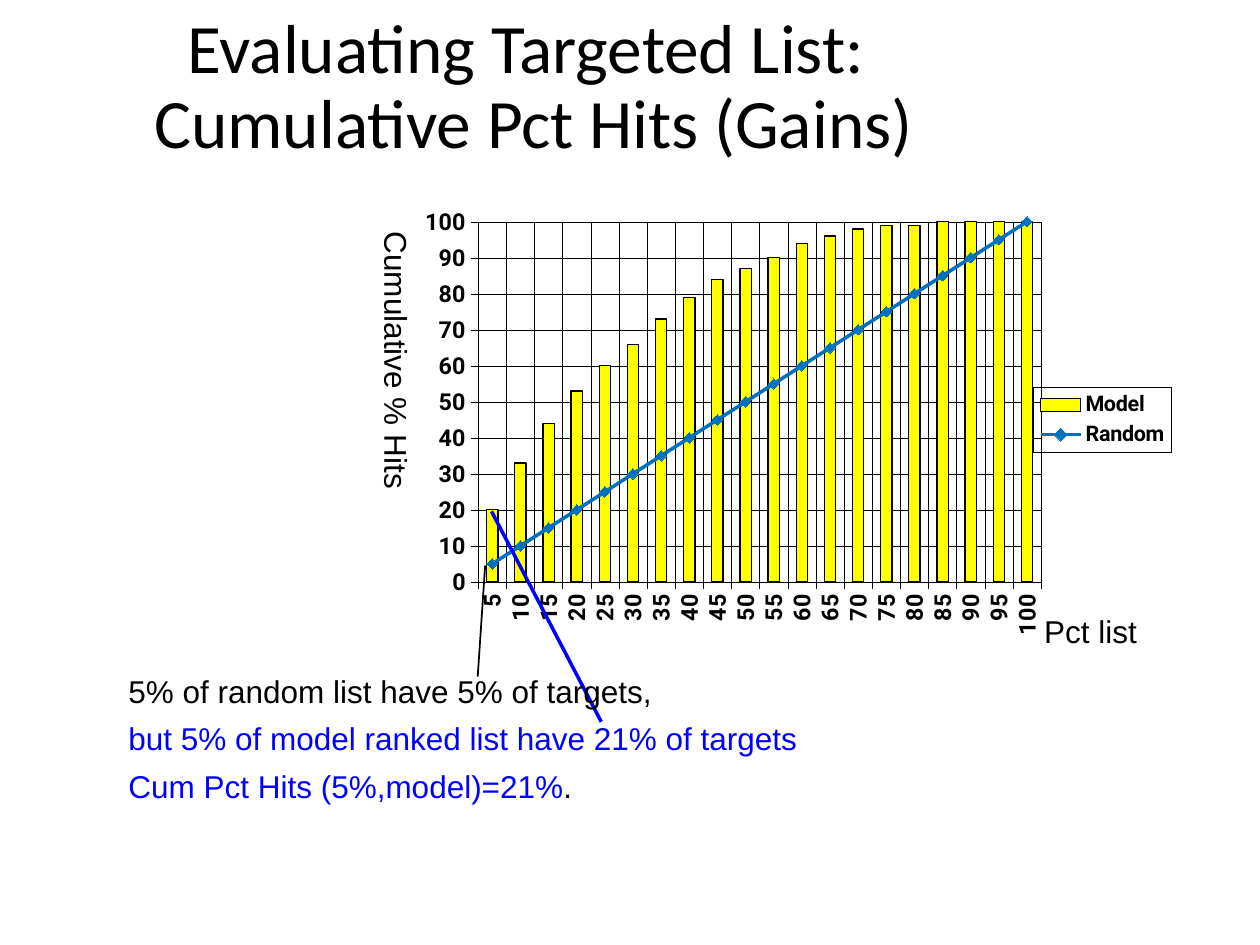
from lxml import etree
from pptx import Presentation
from pptx import util as u
from pptx.chart.data import CategoryChartData
from pptx.dml.color import RGBColor
from pptx.enum import chart as ch, shapes, text
from pptx.oxml.ns import qn

THEME = {
    "black": RGBColor(0, 0, 0),
    "accent": RGBColor(0, 0, 255),
    "model": RGBColor(255, 255, 0),
    "random": RGBColor(0, 112, 192),
    "heading": ("Calibri", 39.6),
    "body": ("Arial", 18),
    "axis": ("Roboto", 13.3),
    "legend": ("Roboto", 12.3),
}

HEADING = [[("Evaluating Targeted List: \vCumulative Pct Hits (Gains)", "black")]]
FINDINGS = [
    [("5% of random list have 5% of targets,", "black")],
    [("but 5% of model ranked list have 21% of targets", "accent")],
    [("Cum Pct Hits (5%,model)=21%", "accent"), (".", "black")],
]
X_CAPTION = [[("Pct list", "black")]]
Y_CAPTION = [[("Cumulative % Hits", "black")]]

PERCENTILES = list(range(5, 101, 5))
MODEL_HITS = [20, 33, 44, 53, 60, 66, 73, 79, 84, 87,
              90, 94, 96, 98, 99, 99, 100, 100, 100, 100]
PLOT_AREA = {"x": 0.098, "y": 0.071, "w": 0.722, "h": 0.781}

MODEL_POINTER = ((12.12, 14.55), (9.91, 10.31), "accent", 2)
RANDOM_POINTER = ((9.78, 11.4), (9.63, 13.64), "black", 1)


def cm(*lengths):
    return [u.Cm(length) for length in lengths]


def assign(target, values):
    for key, value in values.items():
        setattr(target, key, value)


def style_font(font, role, color="black", bold=False):
    name, size = THEME[role]
    assign(font, {"name": name, "size": u.Pt(size), "bold": bold})
    font.color.rgb = THEME[color]


def style_line(line, color, width):
    line.color.rgb = THEME[color]
    line.width = u.Pt(width)


def add_text(slide, box, paragraphs, role="body", frame_format=None, paragraph_format=None):
    frame = slide.shapes.add_textbox(*cm(*box)).text_frame
    assign(frame, {"word_wrap": True, **(frame_format or {})})
    for index, pieces in enumerate(paragraphs):
        paragraph = frame.add_paragraph() if index else frame.paragraphs[0]
        assign(paragraph, paragraph_format or {})
        for wording, color in pieces:
            for position, part in enumerate(wording.split("\v")):
                if position:
                    paragraph.add_line_break()
                run = paragraph.add_run()
                run.text = part
                style_font(run.font, role, color)
    return frame


def add_pointer(slide, start, end, color, width):
    pointer = slide.shapes.add_connector(shapes.MSO_CONNECTOR.STRAIGHT, *cm(*start, *end))
    style_line(pointer.line, color, width)
    etree.SubElement(pointer._element.spPr, qn("a:effectLst"))


def chart_element(parent, tag, value=None):
    element = etree.SubElement(parent, qn(f"c:{tag}"))
    if value is not None:
        element.set("val", str(value))
    return element


def move_to_line_plot(chart):
    bars = chart._chartSpace.find(".//" + qn("c:barChart"))
    series = bars.findall(qn("c:ser"))[1]
    for bar_only in series.findall(qn("c:invertIfNegative")):
        series.remove(bar_only)
    lines = chart._chartSpace.makeelement(qn("c:lineChart"))
    chart_element(lines, "grouping", "standard")
    chart_element(lines, "varyColors", 0)
    lines.append(series)
    chart_element(lines, "marker", 1)
    for axis in bars.findall(qn("c:axId")):
        chart_element(lines, "axId", axis.get("val"))
    bars.addnext(lines)


def place_plot(chart):
    area = chart._chartSpace.find(".//" + qn("c:plotArea"))
    for old in area.findall(qn("c:layout")):
        area.remove(old)
    layout = area.makeelement(qn("c:layout"))
    area.insert(0, layout)
    manual = chart_element(layout, "manualLayout")
    chart_element(manual, "layoutTarget", "inner")
    for mode in ("xMode", "yMode"):
        chart_element(manual, mode, "edge")
    for side, share in PLOT_AREA.items():
        chart_element(manual, side, share)


def frame_legend(legend):
    properties = legend._element.makeelement(qn("c:spPr"))
    line = etree.SubElement(properties, qn("a:ln"), w=str(int(u.Pt(0.5))))
    fill = etree.SubElement(line, qn("a:solidFill"))
    etree.SubElement(fill, qn("a:srgbClr"), val=str(THEME["black"]))
    legend._element.find(qn("c:txPr")).addprevious(properties)


def add_gains_chart(slide, box):
    data = CategoryChartData()
    data.categories = [str(percentile) for percentile in PERCENTILES]
    data.add_series("Model", MODEL_HITS)
    data.add_series("Random", PERCENTILES)
    chart = slide.shapes.add_chart(ch.XL_CHART_TYPE.COLUMN_CLUSTERED, *cm(*box), data).chart
    assign(chart, {"has_title": False, "has_legend": True})
    style_font(chart.font, "axis", bold=True)
    move_to_line_plot(chart)
    place_plot(chart)

    assign(chart.legend, {"position": ch.XL_LEGEND_POSITION.RIGHT, "include_in_layout": False})
    style_font(chart.legend.font, "legend", bold=True)
    frame_legend(chart.legend)

    for axis in (chart.category_axis, chart.value_axis):
        assign(axis, {"has_major_gridlines": True, "major_tick_mark": ch.XL_TICK_MARK.CROSS})
        style_font(axis.tick_labels.font, "axis", bold=True)
        style_line(axis.format.line, "black", 0.19)
        style_line(axis.major_gridlines.format.line, "black", 0.19)
    assign(chart.value_axis, {"minimum_scale": 0, "maximum_scale": 100, "major_unit": 10})
    chart.category_axis._element.find(qn("c:txPr")).find(qn("a:bodyPr")).set("rot", "-5400000")

    bars, lines = chart.plots
    assign(bars, {"gap_width": 150, "vary_by_categories": False})
    model, random = bars.series[0], lines.series[0]
    model.format.fill.solid()
    model.format.fill.fore_color.rgb = THEME["model"]
    style_line(model.format.line, "black", 0.75)
    random.smooth = False
    style_line(random.format.line, "random", 2)
    assign(random.marker, {"style": ch.XL_MARKER_STYLE.DIAMOND, "size": 6})
    random.marker.format.fill.solid()
    random.marker.format.fill.fore_color.rgb = THEME["random"]
    style_line(random.marker.format.line, "random", 0.75)


def main():
    deck = Presentation()
    assign(deck, {"slide_width": u.Cm(25.4), "slide_height": u.Cm(19.05)})
    slide = deck.slides.add_slide(deck.slide_layouts[6])

    add_text(slide, (1.3, 0.41, 18.92, 2.74), HEADING, "heading",
             {"vertical_anchor": text.MSO_ANCHOR.MIDDLE},
             {"alignment": text.PP_ALIGN.CENTER, "line_spacing": 0.9})
    add_gains_chart(slide, (8.1, 3.81, 15.72, 9.3))
    add_pointer(slide, *MODEL_POINTER)
    add_text(slide, (2.34, 13.56, 20.4, 2.87), FINDINGS,
             paragraph_format={"line_spacing": 0.8, "space_before": u.Pt(10)})
    add_pointer(slide, *RANDOM_POINTER)
    add_text(slide, (20.8, 12.22, 3, 1.27), X_CAPTION, frame_format={"word_wrap": False})
    y_frame = add_text(slide, (6.99, 4.42, 1.52, 7.19), Y_CAPTION,
                       frame_format={"word_wrap": False})
    y_frame._txBody.bodyPr.set("vert", "eaVert")
    deck.save("out.pptx")


if __name__ == "__main__":
    main()
